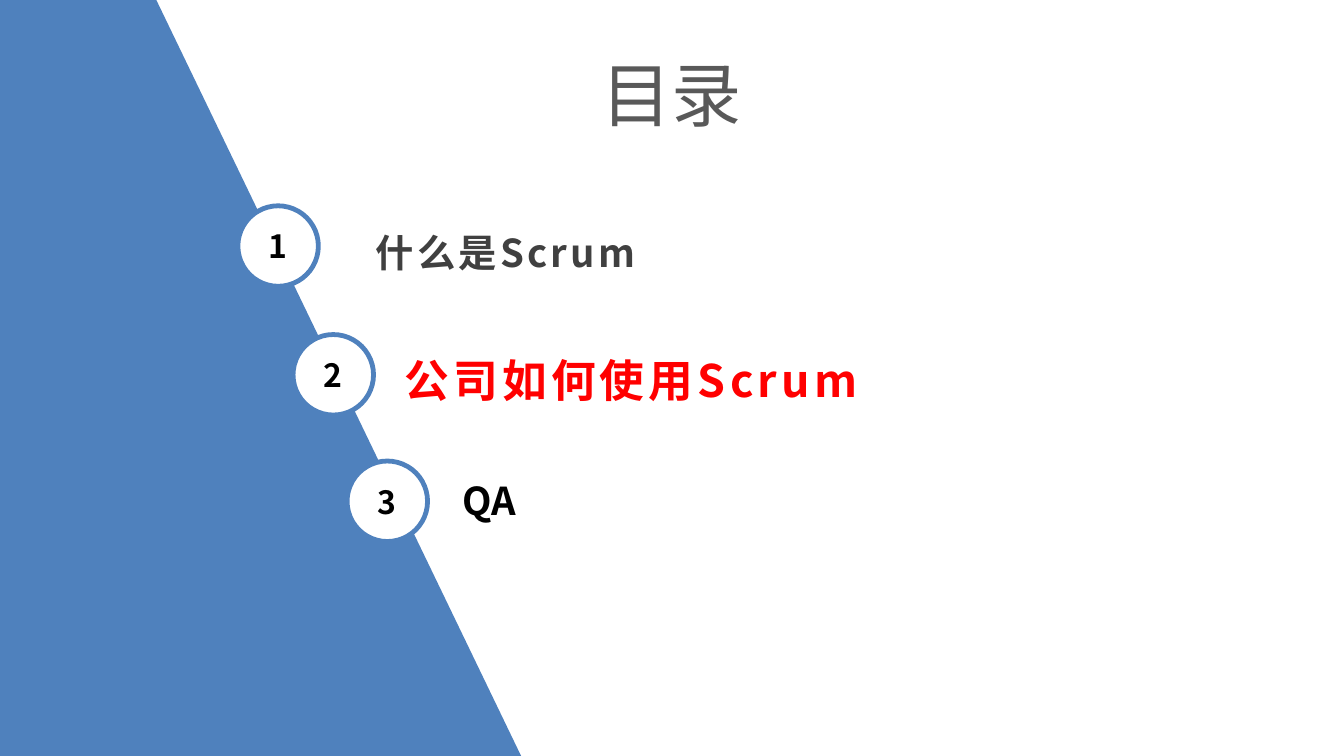
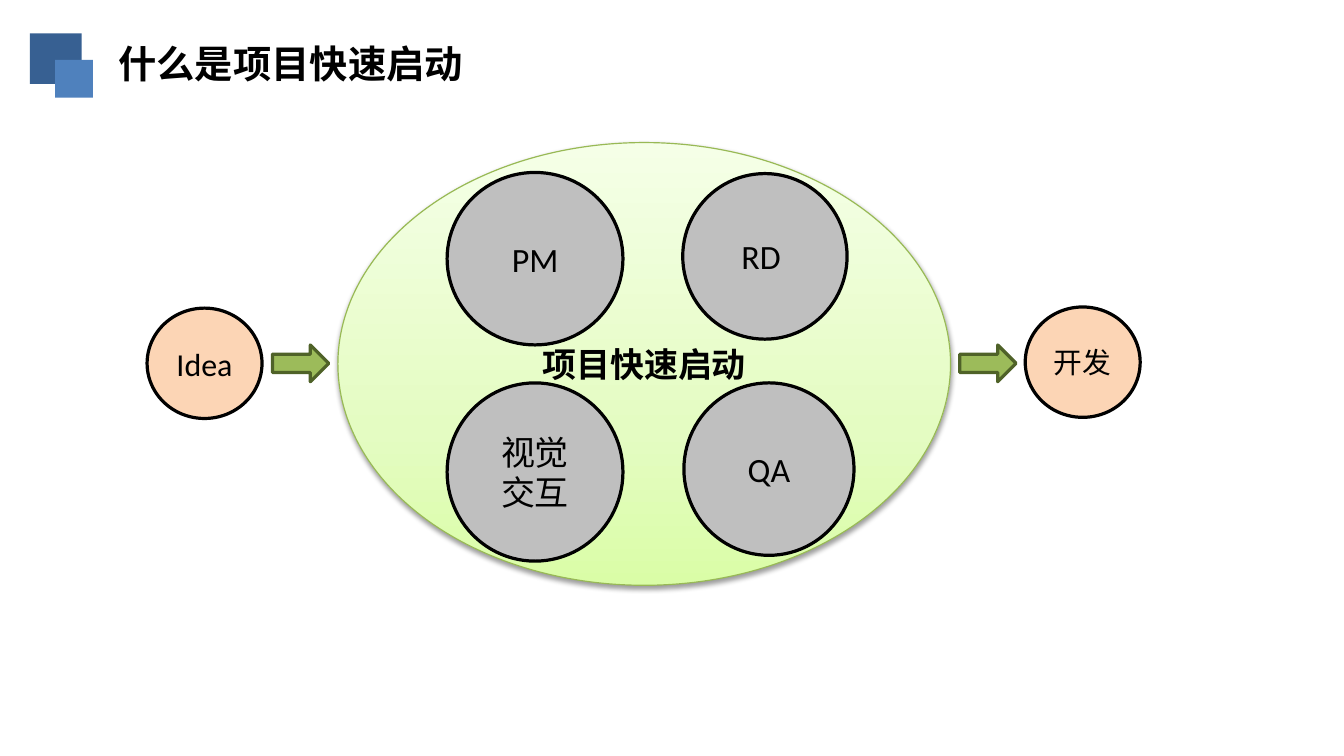
import copy
from dataclasses import dataclass

import pptx
import pptx.dml.color
import pptx.enum.shapes
import pptx.enum.text
import pptx.oxml
import pptx.oxml.ns
import pptx.util
from pptx.util import Inches

MM_PER_INCH = 25.4
SLIDE_WIDTH_MM, SLIDE_HEIGHT_MM = 297, 167

COLOURS = {
    "blue": "4F81BD",
    "dark blue": "376092",
    "white": "FFFFFF",
    "black": "000000",
    "title grey": "595959",
    "text grey": "404040",
    "circle grey": "BFBFBF",
    "red": "FF0000",
    "peach": "FCD5B5",
    "arrow green": "9CBB5A",
    "arrow edge": "4F6228",
    "oval edge": "98B955",
    "oval bottom": "DAFDA7",
    "oval middle": "E4FCC2",
    "oval top": "F5FFE7",
}
CHINESE_FONT = "Noto Sans CJK SC"
LATIN_FONT = "Calibri"
SHAPES = pptx.enum.shapes.MSO_SHAPE
ALIGN = pptx.enum.text.PP_ALIGN
ANCHOR = pptx.enum.text.MSO_ANCHOR


@dataclass(frozen=True)
class Box:
    left: float
    top: float
    width: float
    height: float

    def lengths(self) -> list[pptx.util.Length]:
        return [Inches(value) for value in (self.left, self.top, self.width, self.height)]


@dataclass(frozen=True)
class Style:
    size: float
    colour: str = "black"
    bold: bool = False
    font: str = CHINESE_FONT
    spacing: float = 0
    align: ALIGN = ALIGN.LEFT
    anchor: ANCHOR = ANCHOR.TOP


@dataclass(frozen=True)
class AgendaItem:
    text: str
    badge: Box
    box: Box
    style: Style


@dataclass(frozen=True)
class Circle:
    text: str
    box: Box
    fill: str
    size: float
    font: str = LATIN_FONT


HEADING = Style(24, bold=True)
AGENDA_TITLE = Style(44, "title grey", align=ALIGN.CENTER, anchor=ANCHOR.MIDDLE)

AGENDA = [
    AgendaItem("什么是Scrum", Box(2.07, 1.79, 0.7, 0.7), Box(3.17, 1.94, 3.19, 0.5),
               Style(24, "text grey", True, spacing=2)),
    AgendaItem("公司如何使用Scrum", Box(2.55, 2.91, 0.7, 0.7), Box(3.42, 3.02, 5.1, 0.57),
               Style(28, "red", True, spacing=2.7)),
    AgendaItem("QA", Box(3.02, 4.01, 0.7, 0.7), Box(3.93, 4.1, 2.13, 0.5), HEADING),
]
CIRCLES = [
    Circle("PM", Box(3.89, 1.5, 1.53, 1.5), "circle grey", 21.3),
    Circle("QA", Box(5.95, 3.33, 1.48, 1.5), "circle grey", 21.3),
    Circle("视觉\n交互", Box(3.89, 3.33, 1.53, 1.55), "circle grey", 21.3, CHINESE_FONT),
    Circle("RD ", Box(5.94, 1.51, 1.43, 1.44), "circle grey", 21.3),
    Circle("Idea", Box(1.28, 2.68, 1, 0.96), "peach", 20),
    Circle("开发", Box(8.92, 2.67, 1, 0.96), "peach", 18, CHINESE_FONT),
]


def rgb(name: str) -> pptx.dml.color.RGBColor:
    return pptx.dml.color.RGBColor.from_string(COLOURS[name])


def write(shape, text: str, style: Style, wrap: bool = False) -> None:
    """Fill a shape with one paragraph per line of text."""
    frame = shape.text_frame
    frame.text = text
    frame.word_wrap = wrap
    frame.vertical_anchor = style.anchor
    for paragraph in frame.paragraphs:
        paragraph.alignment = style.align
        font = paragraph.font
        font.size = pptx.util.Pt(style.size)
        font.bold = style.bold
        font.color.rgb = rgb(style.colour)
        font.name = style.font
        properties = paragraph._p.pPr.find(pptx.oxml.ns.qn("a:defRPr"))
        if style.spacing:
            properties.set("spc", str(round(style.spacing * 100)))
        east_asian = copy.deepcopy(properties.find(pptx.oxml.ns.qn("a:latin")))
        east_asian.tag = pptx.oxml.ns.qn("a:ea")
        properties.append(east_asian)


def add_text(slide, box: Box, text: str, style: Style, wrap: bool = True) -> None:
    write(slide.shapes.add_textbox(*box.lengths()), text, style, wrap)


def paint(shape, fill: str, line: str | None = None, width: float = 0) -> None:
    shape.shadow.inherit = False
    shape.fill.solid()
    shape.fill.fore_color.rgb = rgb(fill)
    if line:
        shape.line.color.rgb = rgb(line)
        shape.line.width = pptx.util.Pt(width)
    else:
        shape.line.fill.background()


def add_shape(slide, kind: SHAPES, box: Box, fill: str, line: str | None = None,
              width: float = 0):
    shape = slide.shapes.add_shape(kind, *box.lengths())
    paint(shape, fill, line, width)
    return shape


def centred(size: float, bold: bool = False, font: str = CHINESE_FONT) -> Style:
    return Style(size, bold=bold, font=font, align=ALIGN.CENTER, anchor=ANCHOR.MIDDLE)


def add_kickoff_oval(slide) -> None:
    """Draw the large oval with its three-stop gradient and soft shadow."""
    oval = add_shape(slide, SHAPES.OVAL, Box(2.94, 1.24, 5.33, 3.85),
                     "oval top", "oval edge", 0.75)
    oval.fill.gradient()
    oval.fill.gradient_angle = 90
    properties = oval.element.spPr
    stop_list = properties.find(".//" + pptx.oxml.ns.qn("a:gsLst"))
    stop_list.append(copy.deepcopy(stop_list[-1]))
    stops = [("oval bottom", 0), ("oval middle", 0.35), ("oval top", 1)]
    for stop, (colour, position) in zip(oval.fill.gradient_stops, stops):
        stop.color.rgb = rgb(colour)
        stop.position = position
    shadow = pptx.oxml.parse_xml(
        f'<a:outerShdw {pptx.oxml.ns.nsdecls("a")} blurRad="{pptx.util.Pt(3.1)}" '
        f'dist="{pptx.util.Pt(1.6)}" dir="5400000" rotWithShape="0">'
        f'<a:srgbClr val="{COLOURS["black"]}"><a:alpha val="38000"/></a:srgbClr>'
        "</a:outerShdw>")
    properties.find(pptx.oxml.ns.qn("a:effectLst")).append(shadow)
    write(oval, "项目快速启动", centred(21.3, bold=True))


def build_agenda(slide) -> None:
    corners = [(1.36, 0), (4.56, 6.63), (-0.04, 6.67)]
    builder = slide.shapes.build_freeform(Inches(-0.06), 0)
    builder.add_line_segments([(Inches(x), Inches(y)) for x, y in corners])
    paint(builder.convert_to_shape(), "blue")
    add_text(slide, Box(0.58, 0.26, 10.53, 1.1), "目录", AGENDA_TITLE)
    for number, item in enumerate(AGENDA, start=1):
        badge = add_shape(slide, SHAPES.OVAL, item.badge, "white", "blue", 3)
        write(badge, str(number), centred(20, bold=True))
        add_text(slide, item.box, item.text, item.style)


def build_kickoff(slide) -> None:
    add_shape(slide, SHAPES.RECTANGLE, Box(0.26, 0.29, 0.45, 0.44), "dark blue")
    add_shape(slide, SHAPES.RECTANGLE, Box(0.48, 0.52, 0.33, 0.33), "blue")
    add_text(slide, Box(0.93, 0.3, 3.25, 0.5), "什么是项目快速启动", HEADING, wrap=False)
    add_kickoff_oval(slide)
    for circle in CIRCLES:
        shape = add_shape(slide, SHAPES.OVAL, circle.box, circle.fill, "black", 2)
        write(shape, circle.text, centred(circle.size, font=circle.font))
    for left in (2.37, 8.35):
        add_shape(slide, SHAPES.RIGHT_ARROW, Box(left, 3, 0.49, 0.32),
                  "arrow green", "arrow edge", 2)


def main() -> None:
    presentation = pptx.Presentation()
    presentation.slide_width = Inches(SLIDE_WIDTH_MM / MM_PER_INCH)
    presentation.slide_height = Inches(SLIDE_HEIGHT_MM / MM_PER_INCH)
    blank = presentation.slide_layouts[6]
    for build in (build_agenda, build_kickoff):
        build(presentation.slides.add_slide(blank))
    presentation.save("out.pptx")


if __name__ == "__main__":
    main()
